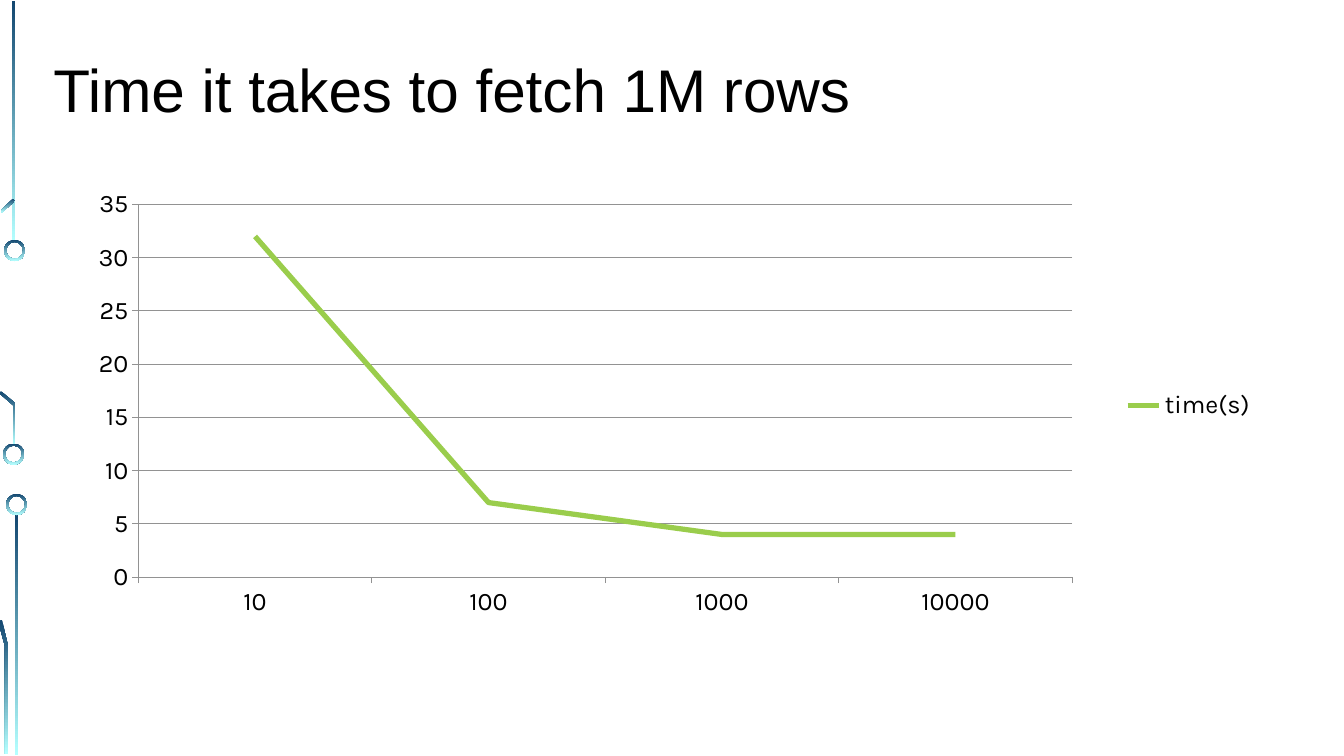
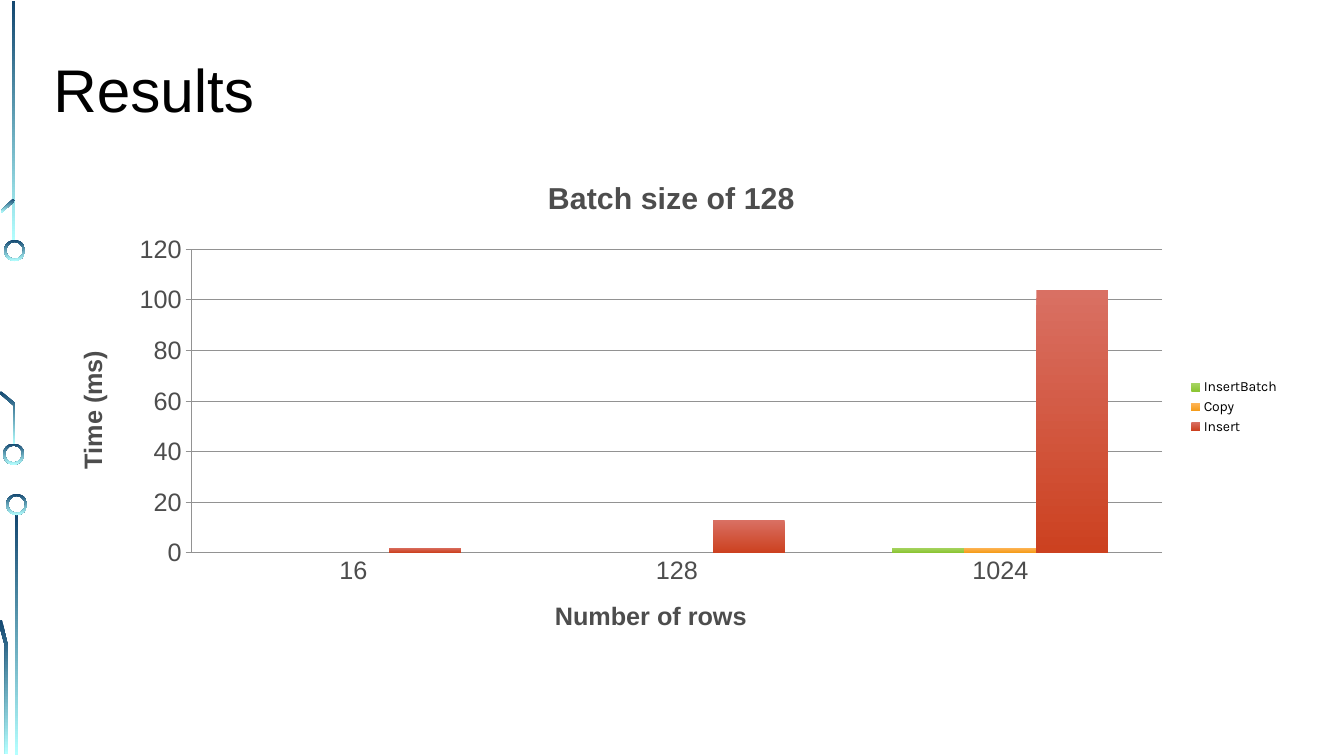
from pptx import Presentation
from pptx.chart.data import CategoryChartData
from pptx.dml.color import RGBColor
from pptx.enum.chart import XL_CHART_TYPE, XL_LEGEND_POSITION, XL_TICK_MARK
from pptx.enum.shapes import MSO_SHAPE
from pptx.enum.text import MSO_ANCHOR
from pptx.oxml import parse_xml
from pptx.oxml.ns import nsdecls
from pptx.util import Inches, Pt

BLACK, GREY, RULE = "000000", "4D4D4D", "929292"
CIRCUIT = ("134770", "B4FFFF")
GREEN = "9ACD4C"
TEXT_FONT, CHART_FONT = "Arial", "Karla"

# Circuit decoration along the left edge, in inches
TRACKS = [
    [(0.12, 0.01), (0.15, 0.01), (0.15, 2.4), (0.12, 2.4)],
    [(0.02, 2.11), (0.01, 2.09), (0.13, 1.97), (0.15, 1.99)],
    [(0.15, 4.41), (0.13, 4.41), (0.13, 4.02), (-0.01, 3.9), (0.01, 3.88), (0.15, 4)],
    [(0.15, 5.1), (0.18, 5.1), (0.18, 7.49), (0.15, 7.49)],
    [(0.08, 7.48), (0.05, 7.48), (0.05, 6.41), (-0.02, 6.16), (0.02, 6.15), (0.08, 6.41)],
]
RINGS = [(0.04, 2.38), (0.03, 4.4), (0.06, 4.9)]
RING_SIZE = 0.21


def color(hex_string):
    return RGBColor.from_string(hex_string)


def set_font(font, size, hex_string=BLACK, name=TEXT_FONT, bold=False):
    font.size, font.name, font.bold = Pt(size), name, bold
    font.color.rgb = color(hex_string)


def fill_gradient(fill, colors):
    """Fill from the first colour at the top to the second at the bottom."""
    fill.gradient()
    fill.gradient_angle = 270
    for stop, hex_string in zip(fill.gradient_stops, colors):
        stop.color.rgb = color(hex_string)


class Deck:
    def __init__(self):
        self.presentation = Presentation()
        self.presentation.slide_width = Inches(13.33)
        self.presentation.slide_height = Inches(7.5)
        self.slide = None

    def add_slide(self, title):
        self.slide = self.presentation.slides.add_slide(self.presentation.slide_layouts[6])
        for points in TRACKS:
            self.track(points)
        for left, top in RINGS:
            self.ring(left, top)
        self.title(title)

    def decorate(self, shape):
        shape.shadow.inherit = False
        shape.line.fill.background()
        fill_gradient(shape.fill, CIRCUIT)

    def track(self, points):
        corners = [(Inches(x), Inches(y)) for x, y in points]
        builder = self.slide.shapes.build_freeform(*corners[0])
        builder.add_line_segments(corners[1:], close=True)
        self.decorate(builder.convert_to_shape())

    def ring(self, left, top):
        shape = self.slide.shapes.add_shape(
            MSO_SHAPE.DONUT, Inches(left), Inches(top), Inches(RING_SIZE), Inches(RING_SIZE))
        shape.adjustments[0] = 0.1
        self.decorate(shape)

    def title(self, text):
        shape = self.slide.shapes.add_textbox(
            Inches(0.53), Inches(0.47), Inches(12.26), Inches(0.67))
        frame = shape.text_frame
        frame.word_wrap = True
        frame.vertical_anchor = MSO_ANCHOR.TOP
        frame.margin_left = frame.margin_right = frame.margin_bottom = 0
        frame.margin_top = Inches(0.05)
        paragraph = frame.paragraphs[0]
        paragraph.text = text
        set_font(paragraph.font, 43)

    def chart(self, kind, box, categories, series, font_size):
        data = CategoryChartData()
        data.categories = categories
        for name, values in series.items():
            data.add_series(name, values)
        frame = self.slide.shapes.add_chart(kind, *(Inches(length) for length in box), data)
        chart = frame.chart
        set_font(chart.font, font_size, name=CHART_FONT)
        chart.has_title = False
        chart.has_legend = True
        chart.legend.position = XL_LEGEND_POSITION.RIGHT
        chart.legend.include_in_layout = False
        chart.plots[0].vary_by_categories = False
        return chart

    def axis(self, axis, tick, gridlines=False):
        axis.major_tick_mark, axis.minor_tick_mark = tick, XL_TICK_MARK.NONE
        axis.has_major_gridlines = gridlines
        lines = [axis.format.line]
        if gridlines:
            lines.append(axis.major_gridlines.format.line)
        for line in lines:
            line.color.rgb = color(RULE)
            line.width = Pt(0.75)

    def scale(self, axis, maximum, step):
        axis.minimum_scale, axis.maximum_scale, axis.major_unit = 0, maximum, step

    def chart_title(self, owner, text, size):
        """Set the bold title of a chart or of an axis."""
        owner.has_title = True
        title = owner.chart_title if hasattr(owner, "chart_title") else owner.axis_title
        paragraph = title.text_frame.paragraphs[0]
        paragraph.text = text
        set_font(paragraph.font, size, GREY, bold=True)

    def plot_layout(self, chart, x, y, width, height):
        plot_area = chart.plots[0]._element.getparent()
        for layout in plot_area.findall("{*}layout"):
            plot_area.remove(layout)
        lengths = "".join(f'<c:{tag} val="{value}"/>' for tag, value in
                          (("x", x), ("y", y), ("w", width), ("h", height)))
        plot_area.insert(0, parse_xml(
            f'<c:layout {nsdecls("c")}><c:manualLayout><c:layoutTarget val="inner"/>'
            f'<c:xMode val="edge"/><c:yMode val="edge"/>{lengths}</c:manualLayout></c:layout>'))


def add_fetch_slide(deck):
    deck.add_slide("Time it takes to fetch 1M rows")
    chart = deck.chart(XL_CHART_TYPE.LINE, (0.53, 1.65, 12.03, 4.74),
                       ["10", "100", "1000", "10000"], {"time(s)": (32, 7, 4, 4)}, 18)
    deck.plot_layout(chart, 0.07, 0.08, 0.77, 0.78)
    deck.axis(chart.category_axis, XL_TICK_MARK.OUTSIDE)
    deck.axis(chart.value_axis, XL_TICK_MARK.OUTSIDE, gridlines=True)
    deck.scale(chart.value_axis, 35, 5)
    series = chart.plots[0].series[0]
    series.smooth = False
    series.format.line.color.rgb = color(GREEN)
    series.format.line.width = Pt(3.75)


def add_results_slide(deck):
    deck.add_slide("Results")
    chart = deck.chart(XL_CHART_TYPE.COLUMN_CLUSTERED, (0.53, 1.57, 12.26, 4.93),
                       ["16", "128", "1024"],
                       {"InsertBatch": (0, 0, 2), "Copy": (0, 0, 2), "Insert": (2, 13, 104)}, 10)
    deck.chart_title(chart, "Batch size of 128", 21.6)
    deck.axis(chart.category_axis, XL_TICK_MARK.NONE)
    deck.axis(chart.value_axis, XL_TICK_MARK.OUTSIDE, gridlines=True)
    deck.scale(chart.value_axis, 120, 20)
    for axis, text in ((chart.category_axis, "Number of rows"), (chart.value_axis, "Time (ms)")):
        deck.chart_title(axis, text, 18)
        set_font(axis.tick_labels.font, 18, GREY)
    plot = chart.plots[0]
    plot.gap_width, plot.overlap = 150, 0
    bar_colors = [("A8D565", "8CC534"), ("FFB65B", "F59C1A"), ("D97063", "CC4120")]
    for series, colors in zip(plot.series, bar_colors):
        fill_gradient(series.format.fill, colors)


def main():
    deck = Deck()
    add_fetch_slide(deck)
    add_results_slide(deck)
    deck.presentation.save("out.pptx")


if __name__ == "__main__":
    main()
